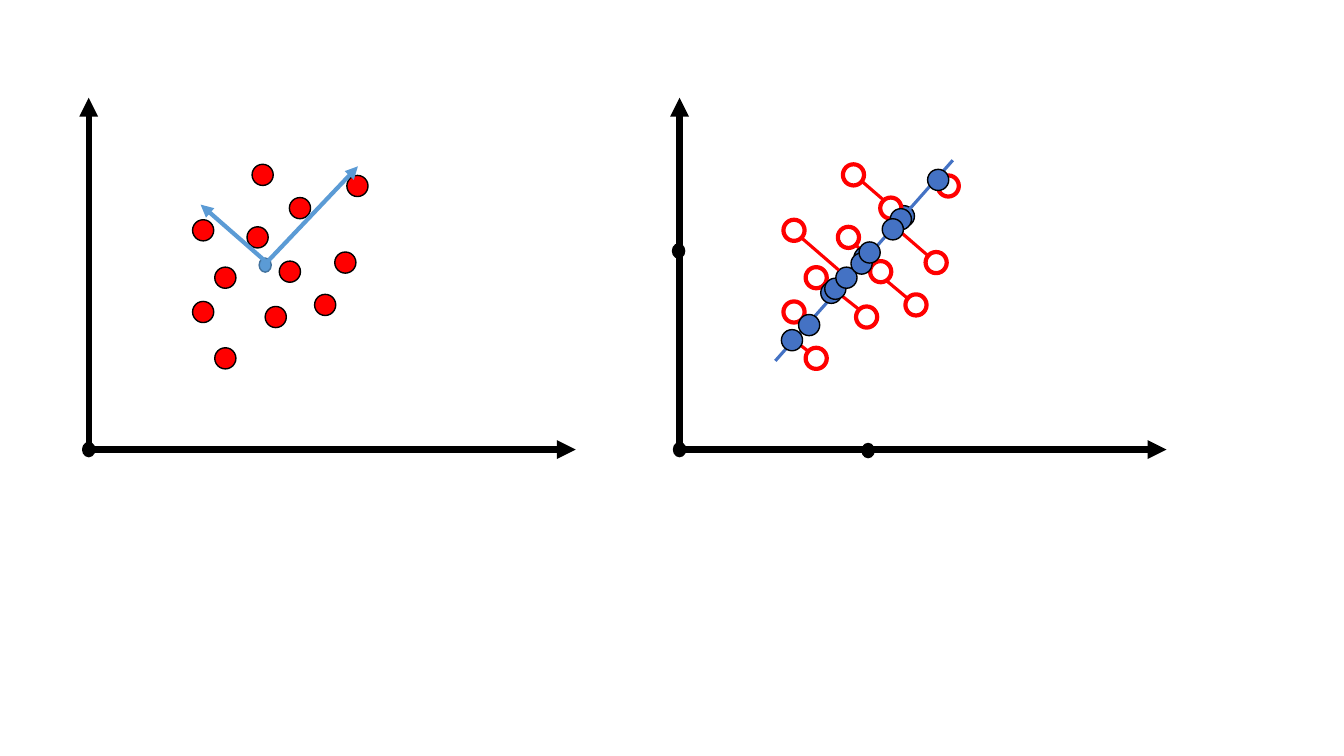
from lxml import etree
from pptx import Presentation
from pptx.dml.color import RGBColor
from pptx.enum.shapes import MSO_CONNECTOR, MSO_SHAPE
from pptx.oxml.ns import qn
from pptx.util import Inches, Pt

OVAL = MSO_SHAPE.OVAL
STRAIGHT = MSO_CONNECTOR.STRAIGHT
BLACK, WHITE, RED = "000000", "FFFFFF", "FF0000"
BLUE, SKY, SKY_EDGE = "4472C4", "5B9BD5", "43739E"
POINT_SIZE = (0.21, 0.21)
MARK_SIZE = (0.12, 0.14)
PANEL_SHIFT = 5.86

SAMPLES = [
    (1.91, 2.18), (1.91, 2.99), (2.5, 1.63), (2.13, 2.65),
    (2.45, 2.25), (3.44, 1.74), (2.63, 3.04), (3.32, 2.5),
    (3.12, 2.92), (2.13, 3.45), (2.87, 1.96), (2.77, 2.59),
]
COVERING_SAMPLES = SAMPLES[-2:]
RESIDUALS = [
    ((8.55, 1.8), (8.92, 2.12)), ((8.62, 2.64), (8.99, 2.95)),
    ((8.28, 2.88), (8.52, 3.07)), ((8.85, 2.23), (9.22, 2.55)),
    ((7.87, 3.37), (8.01, 3.48)),
]
PROJECTIONS = [
    (7.75, 3.27), (7.92, 3.12), (8.14, 2.8), (8.18, 2.76), (8.29, 2.65),
    (8.44, 2.51), (8.52, 2.4), (8.83, 2.07), (8.75, 2.17), (9.2, 1.68),
]


def color(value):
    """Turn a hex string into a colour."""
    return RGBColor.from_string(value)


class Plot:
    """Draw points, lines and axes on one slide."""

    def __init__(self, page):
        """Keep the slide to draw on."""
        self.shapes = page.shapes

    def dot(self, corner, size, fill, edge=BLACK, width=1):
        """Add an ellipse, hollow when fill is None."""
        oval = self.shapes.add_shape(OVAL, *map(Inches, corner + size))
        oval.shadow.inherit = False
        if fill is None:
            oval.fill.background()
        else:
            oval.fill.solid()
            oval.fill.fore_color.rgb = color(fill)
        oval.line.color.rgb = color(edge)
        oval.line.width = Pt(width)

    def line(self, start, end, stroke, width=2.25, arrow=False):
        """Add a straight line with an optional arrowhead at its end."""
        connector = self.shapes.add_connector(STRAIGHT, *map(Inches, start + end))
        connector.line.color.rgb = color(stroke)
        connector.line.width = Pt(width)
        if arrow:
            outline = connector.line._get_or_add_ln()
            etree.SubElement(outline, qn("a:tailEnd"), type="triangle")
        etree.SubElement(connector._element.spPr, qn("a:effectLst"))

    def axes(self, shift):
        """Add both axes and the origin mark."""
        origin = (0.88 + shift, 4.46)
        for end in ((5.71 + shift, 4.46), (0.88 + shift, 0.97)):
            self.line(origin, end, BLACK, 4.5, arrow=True)
        self.dot((0.82 + shift, 4.39), MARK_SIZE, BLACK)


def draw_components(plot):
    """Draw the samples with their two principal directions."""
    plot.axes(0)
    for corner in SAMPLES:
        plot.dot(corner, POINT_SIZE, RED)
    plot.dot((2.57, 2.56), MARK_SIZE, SKY, SKY_EDGE)
    plot.line((2.63, 2.62), (3.55, 1.65), SKY, 3, arrow=True)
    plot.line((2.63, 2.59), (1.99, 2.03), SKY, 3, arrow=True)


def draw_projection(plot):
    """Draw the samples projected onto the first component."""
    plot.dot((8.86, 2.04), POINT_SIZE, BLUE)
    plot.line((8.48, 2.42), (8.81, 2.77), RED)
    plot.dot((8.47, 2.45), POINT_SIZE, BLUE)
    for start, end in RESIDUALS:
        plot.line(start, end, RED)
    plot.axes(PANEL_SHIFT)
    for left, top in SAMPLES:
        fill = WHITE if (left, top) in COVERING_SAMPLES else None
        plot.dot((left + PANEL_SHIFT, top), POINT_SIZE, fill, RED, 3)
    plot.dot((8.55, 4.4), MARK_SIZE, BLACK)
    plot.line((7.69, 3.58), (9.45, 1.59), BLUE)
    plot.dot((6.67, 2.42), MARK_SIZE, BLACK)
    for corner in PROJECTIONS:
        plot.dot(corner, POINT_SIZE, BLUE)
    plot.line((7.95, 2.36), (8.32, 2.68), RED)


def main():
    """Build and save the deck."""
    deck = Presentation()
    deck.slide_width, deck.slide_height = Inches(13.33), Inches(7.5)
    plot = Plot(deck.slides.add_slide(deck.slide_layouts[6]))
    draw_components(plot)
    draw_projection(plot)
    deck.save("out.pptx")


if __name__ == "__main__":
    main()
